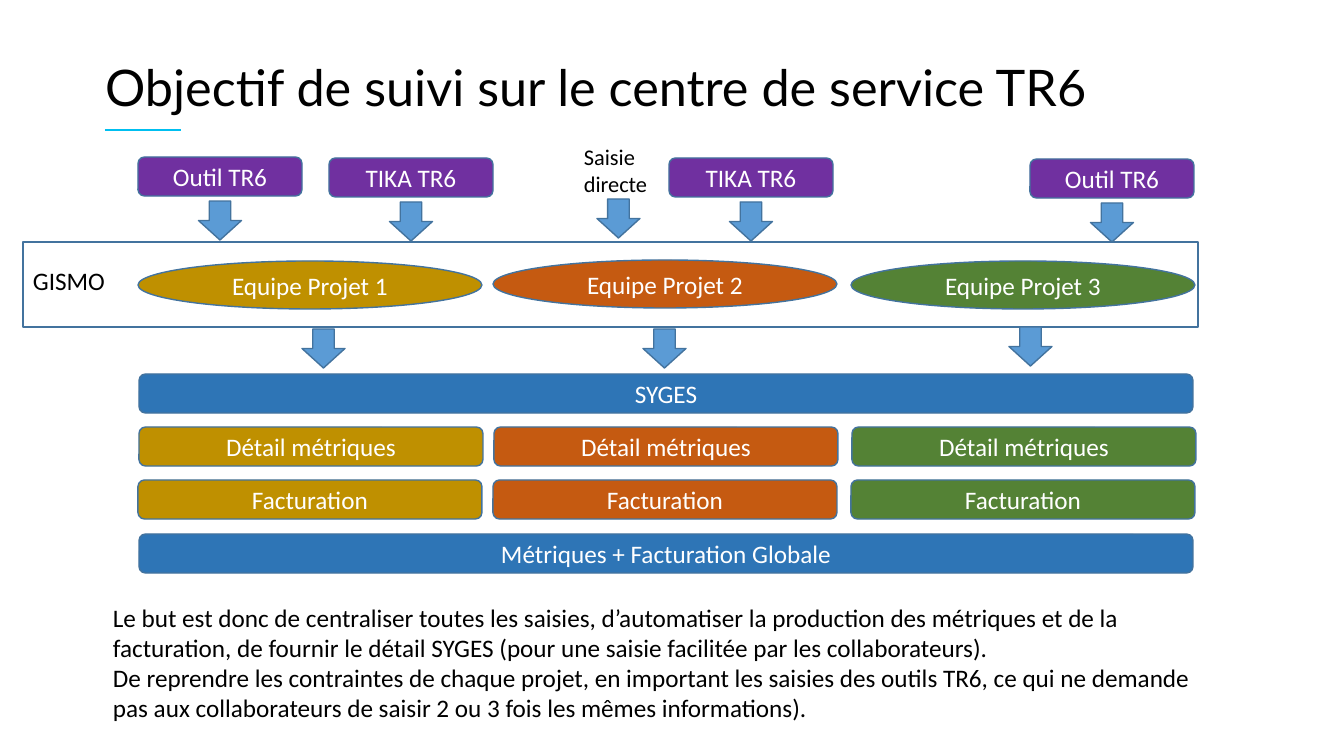
from dataclasses import dataclass

from lxml.etree import SubElement
from pptx import Presentation
from pptx.dml.color import RGBColor
from pptx.enum.shapes import MSO_CONNECTOR, MSO_SHAPE
from pptx.enum.text import MSO_ANCHOR, MSO_AUTO_SIZE, PP_ALIGN
from pptx.oxml.ns import qn
from pptx.util import Emu, Pt

# Content
TITLE = "Objectif de suivi sur le centre de service TR6"
TOOLS = [("Outil TR6", 138, 157), ("TIKA TR6", 329, 158),
         ("TIKA TR6", 669, 158), ("Outil TR6", 1030, 159)]
DIRECT_ENTRY = ["Saisie", "directe"]
HUB = "GISMO"
TEAMS = [("Equipe Projet 1", "BF9000", 138, 261),
         ("Equipe Projet 2", "C55A11", 493, 260),
         ("Equipe Projet 3", "548235", 851, 261)]
TEAM_ROWS = [("Détail métriques", 1, 1), ("Facturation", 2, 0)]  # text, row, shift
GLOBAL_ROWS = [("SYGES", 0), ("Métriques + Facturation Globale", 3)]
OUTPUT_ARROWS = [(302, 329), (643, 329), (1009, 327)]
DIRECT_ARROW = (597, 199)
GOALS = [
    "Le but est donc de centraliser toutes les saisies, d’automatiser la production "
    "des métriques et de la facturation, de fournir le détail SYGES (pour une saisie "
    "facilitée par les collaborateurs).",
    "De reprendre les contraintes de chaque projet, en important les saisies des outils "
    "TR6, ce qui ne demande pas aux collaborateurs de saisir 2 ou 3 fois les mêmes "
    "informations).",
]


@dataclass(frozen=True)
class Theme:
    title_font: str = "Lato"
    body_font: str = "Calibri"
    title_size: int = 36
    body_size: int = 18
    small_size: int = 16
    text: str = "000000"
    light_text: str = "FFFFFF"
    accent: str = "00BFF0"
    tool: str = "7030A0"
    bar: str = "2E75B6"
    arrow: str = "5B9BD5"
    outline: str = "43739E"


THEME = Theme()
EMU_PER_PX = 914400 / 100.8
BOX_HEIGHT = 39
TOOL_WIDTH = 164
TEAM_WIDTH, TEAM_HEIGHT = 344, 48
ARROW_WIDTH = 43
BAR_LEFT, BAR_WIDTH = 139, 1054
ROWS_TOP, ROWS_SPAN = 374, 160


def px(value):
    return Emu(round(value * EMU_PER_PX))


def color(value):
    return RGBColor.from_string(value)


def row_top(row):
    return ROWS_TOP + row * ROWS_SPAN // 3


def write(frame, lines, size, text_color, font=THEME.body_font,
          align=PP_ALIGN.LEFT, spacing=None):
    for index, line in enumerate(lines):
        paragraph = frame.add_paragraph() if index else frame.paragraphs[0]
        paragraph.alignment = align
        if spacing:
            paragraph.line_spacing = spacing
        run = paragraph.add_run()
        run.text = line
        run.font.name = font
        run.font.size = Pt(size)
        run.font.color.rgb = color(text_color)


def add_box(slide, kind, left, top, width, height, fill=None, text=None):
    shape = slide.shapes.add_shape(kind, px(left), px(top), px(width), px(height))
    shape.shadow.inherit = False
    if fill:
        shape.fill.solid()
        shape.fill.fore_color.rgb = color(fill)
    else:
        shape.fill.background()
    shape.line.color.rgb = color(THEME.outline)
    shape.line.width = Pt(1)
    if text:
        shape.text_frame.word_wrap = True
        shape.text_frame.vertical_anchor = MSO_ANCHOR.MIDDLE
        write(shape.text_frame, [text], THEME.body_size, THEME.light_text,
              align=PP_ALIGN.CENTER)


def add_arrow(slide, left, top):
    add_box(slide, MSO_SHAPE.DOWN_ARROW, left, top, ARROW_WIDTH, BOX_HEIGHT, THEME.arrow)


def add_text(slide, left, top, width, height, wrap=True):
    box = slide.shapes.add_textbox(px(left), px(top), px(width), px(height))
    frame = box.text_frame
    frame.word_wrap = wrap
    frame.auto_size = MSO_AUTO_SIZE.SHAPE_TO_FIT_TEXT
    return frame


def main():
    presentation = Presentation()
    presentation.slide_width, presentation.slide_height = px(1344), px(756)
    slide = presentation.slides.add_slide(presentation.slide_layouts[6])

    # Title and underline
    title = add_text(slide, 105, 68, 1014, 48)
    title.margin_left = title.margin_right = title.margin_top = title.margin_bottom = 0
    write(title, [TITLE], THEME.title_size, THEME.text, THEME.title_font, spacing=0.8)
    underline = slide.shapes.add_connector(
        MSO_CONNECTOR.STRAIGHT, px(105), px(130), px(181), px(130))
    underline.line.color.rgb = color(THEME.accent)
    underline.line.width = Pt(2)
    SubElement(underline._element.spPr, qn("a:effectLst"))

    # Goals
    write(add_text(slide, 103, 597, 1124, 132), GOALS, THEME.body_size, THEME.text)

    # Hub frame
    add_box(slide, MSO_SHAPE.RECTANGLE, 23, 242, 1175, 85)
    write(add_text(slide, 23, 260, 93, 40, wrap=False), [HUB],
          THEME.body_size, THEME.text)

    # Source tools, each with an arrow centred below
    for name, left, top in TOOLS:
        add_box(slide, MSO_SHAPE.ROUNDED_RECTANGLE, left, top, TOOL_WIDTH, BOX_HEIGHT,
                THEME.tool, name)
        add_arrow(slide, left + (TOOL_WIDTH - ARROW_WIDTH) / 2, top + 44)

    # Direct entry
    write(add_text(slide, 574, 138, 85, 65, wrap=False), DIRECT_ENTRY,
          THEME.small_size, THEME.text)
    add_arrow(slide, *DIRECT_ARROW)

    # Project teams and their detail rows
    for name, fill, left, top in TEAMS:
        add_box(slide, MSO_SHAPE.OVAL, left, top, TEAM_WIDTH, TEAM_HEIGHT, fill, name)
        for text, row, shift in TEAM_ROWS:
            add_box(slide, MSO_SHAPE.ROUNDED_RECTANGLE, left + shift, row_top(row),
                    TEAM_WIDTH, BOX_HEIGHT, fill, text)

    # Global bars and the arrows leading to them
    for text, row in GLOBAL_ROWS:
        add_box(slide, MSO_SHAPE.ROUNDED_RECTANGLE, BAR_LEFT, row_top(row),
                BAR_WIDTH, BOX_HEIGHT, THEME.bar, text)
    for left, top in OUTPUT_ARROWS:
        add_arrow(slide, left, top)

    presentation.save("out.pptx")


if __name__ == "__main__":
    main()
